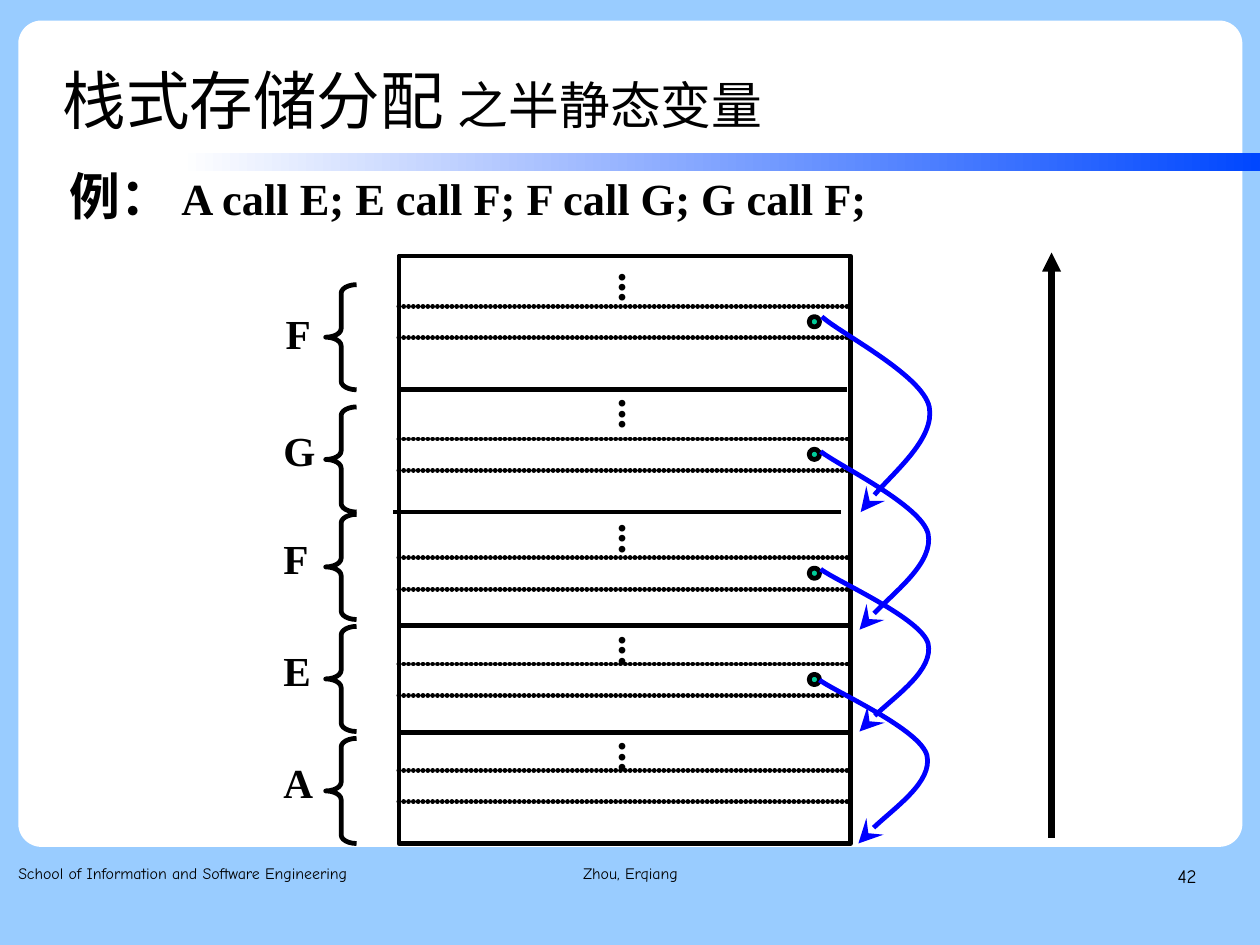
from lxml.etree import SubElement
from pptx import Presentation
from pptx.dml.color import RGBColor
from pptx.enum.shapes import MSO_CONNECTOR, MSO_SHAPE
from pptx.enum.text import MSO_ANCHOR, MSO_AUTO_SIZE, PP_ALIGN
from pptx.oxml.ns import qn
from pptx.util import Cm, Pt

PX = 9144  # EMU in one px, 100 px to the inch
SERIF, HAND, HAN = "Times New Roman", "Comic Neue", "Noto Sans CJK SC"

# name, ellipsis y, dotted y, brace y, label x and y, dotted width
FRAMES = [
    ("F", 3, 44, 25, -110, 44, 392),
    ("G", 114, 160, 132, -112, 146, 392),
    ("F", 223, 264, 226, -112, 240, 395),
    ("E", 321, 357, 324, -112, 338, 395),
    ("A", 414, 450, 422, -112, 436, 395),
]
# x, y, width of the solid lines between frames
RULES = [(0, 117, 392), (-5, 224, 392), (0, 323, 395), (0, 417, 395)]
# start x, start y, height of the links between frames
LINKS = [(370, 53, 171), (369, 171, 156), (369, 274, 142), (368, 371, 143)]
# bend of a link: x in px, y as a share of its height
BEND = [(15, .08), (88, .30), (94, .46), (99, .62), (46, .89), (34, 1)]


def color(code):
    return RGBColor.from_string(code)


def emu(*vals):
    return [round(v * PX) for v in vals]


def stroke(item, code="000000", width=3):
    item.line.color.rgb = color(code)
    item.line.width = Pt(width)
    return item.line._get_or_add_ln()


def arrow(ln, kind, size="med"):
    tail = SubElement(ln, qn("a:tailEnd"))
    for key, val in (("type", kind), ("w", size), ("len", size)):
        tail.set(key, val)


def shape(slide, kind, box, fill=None, line=None):
    item = slide.shapes.add_shape(kind, *emu(*box))
    item.shadow.inherit = False
    if fill:
        item.fill.solid()
        item.fill.fore_color.rgb = color(fill)
    else:
        item.fill.background()
    if line:
        stroke(item, line)
    else:
        item.line.fill.background()
    return item


def text(slide, box, runs, pad=(0, 0), gap=1.0, align=PP_ALIGN.LEFT,
         anchor=MSO_ANCHOR.TOP, wrap=True, grow=False, bold=False, vert=None):
    item = slide.shapes.add_textbox(*emu(*box))
    frame = item.text_frame
    frame.word_wrap = wrap
    frame.vertical_anchor = anchor
    if grow:
        frame.auto_size = MSO_AUTO_SIZE.SHAPE_TO_FIT_TEXT
    frame.margin_left, frame.margin_top = emu(*pad)
    frame.margin_right, frame.margin_bottom = emu(*pad)
    if vert:
        frame._txBody.bodyPr.set("vert", vert)
    para = frame.paragraphs[0]
    para.alignment, para.line_spacing = align, gap
    for words, size, font in runs:
        run = para.add_run()
        run.text = words
        run.font.size, run.font.name, run.font.bold = Pt(size), font, bold
        run.font.color.rgb = color("000000")
        SubElement(run._r.rPr, qn("a:ea")).set("typeface", HAN)


def line(slide, start, end, width=3, dots=False, tail=None):
    item = slide.shapes.add_connector(
        MSO_CONNECTOR.STRAIGHT, *emu(*start, *end))
    SubElement(item._element.spPr, qn("a:effectLst"))
    ln = stroke(item, width=width)
    if dots:
        ln.set("cap", "rnd")
        dash = SubElement(SubElement(ln, qn("a:custDash")), qn("a:ds"))
        dash.set("d", "100000")
        dash.set("sp", "1000")
    if tail:
        arrow(ln, tail)


def link(slide, x, y, high):
    """Draw a curved arrow through the two Bézier arcs of BEND."""
    build = slide.shapes.build_freeform(x, y, scale=PX)
    build.add_line_segments(
        [(x + dx, round(y + part * high)) for dx, part in BEND], close=False)
    item = build.convert_to_shape()
    item.shadow.inherit = False
    item.fill.background()
    # Each three straight steps become one cubic arc
    steps = item._element.xpath(".//a:lnTo")
    route = steps[0].getparent()
    for i in range(0, len(steps), 3):
        arc = SubElement(route, qn("a:cubicBezTo"))
        for step in steps[i:i + 3]:
            arc.append(step[0])
            route.remove(step)
    arrow(stroke(item, "0000FF"), "stealth", "lg")


def panel(slide, box):
    x, y, w, h = box
    card = shape(slide, MSO_SHAPE.ROUNDED_RECTANGLE, box, "FFFFFF")
    card.adjustments[0] = 0.028
    # Gradient bar under the title
    bar = shape(slide, MSO_SHAPE.RECTANGLE, (x + 141, y + 116, 945, 16), "FFFFFF")
    bar.fill.gradient()
    bar.fill.gradient_angle = 0
    for stop, code, place in zip(bar.fill.gradient_stops,
                                 ("FFFFFF", "0047FF"), (0, 1)):
        stop.color.rgb = color(code)
        stop.position = place


def header(slide, box):
    x, y, w, h = box
    text(slide, box, [("栈式存储分配 ", 40, "Arial"), ("之半静态变量", 32, "Arial")],
         gap=1.1, anchor=MSO_ANCHOR.MIDDLE)
    text(slide, (x - 5, y + 110, 910, 61),
         [("例：", 32, HAN), (" A call E; E call F; F call G; G call F;", 28, SERIF)],
         pad=(11, 6), gap=.93, grow=True, bold=True)


def stack(slide, box):
    x, y, w, h = box
    shape(slide, MSO_SHAPE.RECTANGLE, box, line="000000")
    for dx, dy, wide in RULES:
        line(slide, (x + dx, y + dy), (x + dx + wide, y + dy))
    # Frames with brace, label and ellipsis
    for name, more, dotted, brace, lx, ly, wide in FRAMES:
        for dy in (dotted, dotted + 27.5):
            line(slide, (x, y + dy), (x + wide, y + dy), dots=True)
        curl = shape(slide, MSO_SHAPE.LEFT_BRACE,
                     (x - 64, y + brace, 27, 92), line="000000")
        curl.adjustments[0] = 0.28
        text(slide, (x + lx, y + ly, 46, 51), [(name, 26, SERIF)],
             pad=(11, 6), gap=.93, wrap=False, grow=True, bold=True)
        text(slide, (x + 169, y + more, 62, 38), [("...", 26, SERIF)], pad=(6, 11),
             gap=.93, wrap=False, grow=True, bold=True, vert="eaVert")
    # Pointer dots and links to the frame below
    for row, (dx, dy, high) in zip(FRAMES, LINKS):
        shape(slide, MSO_SHAPE.OVAL, (x + 359, y + row[2] + 9, 9, 9),
              "00CC99", "000000")
        link(slide, x + dx, y + dy, high)
    # Direction of growth
    line(slide, (x + 571, y + 509), (x + 571, y - 3), width=4, tail="triangle")


def footer(slide, box):
    x, y, w, h = box
    for dx, wide, words, size, align in [
            (0, 338, "School of Information and Software Engineering", 10, PP_ALIGN.LEFT),
            (361, 349, "Zhou, Erqiang", 10, PP_ALIGN.CENTER),
            (774, 257, "42", 12, PP_ALIGN.RIGHT)]:
        text(slide, (x + dx, y, wide, h), [(words, size, HAND)],
             gap=1.16, align=align)


def main():
    deck = Presentation()
    deck.slide_width, deck.slide_height = Cm(28), Cm(21)
    slide = deck.slides.add_slide(deck.slide_layouts[6])
    slide.background.fill.solid()
    slide.background.fill.fore_color.rgb = color("99CCFF")
    panel(slide, (16, 18, 1071, 723))
    header(slide, (55, 33, 858, 101))
    stack(slide, (349, 224, 395, 514))
    footer(slide, (16, 753, 1031, 57))
    deck.save("out.pptx")


if __name__ == "__main__":
    main()
